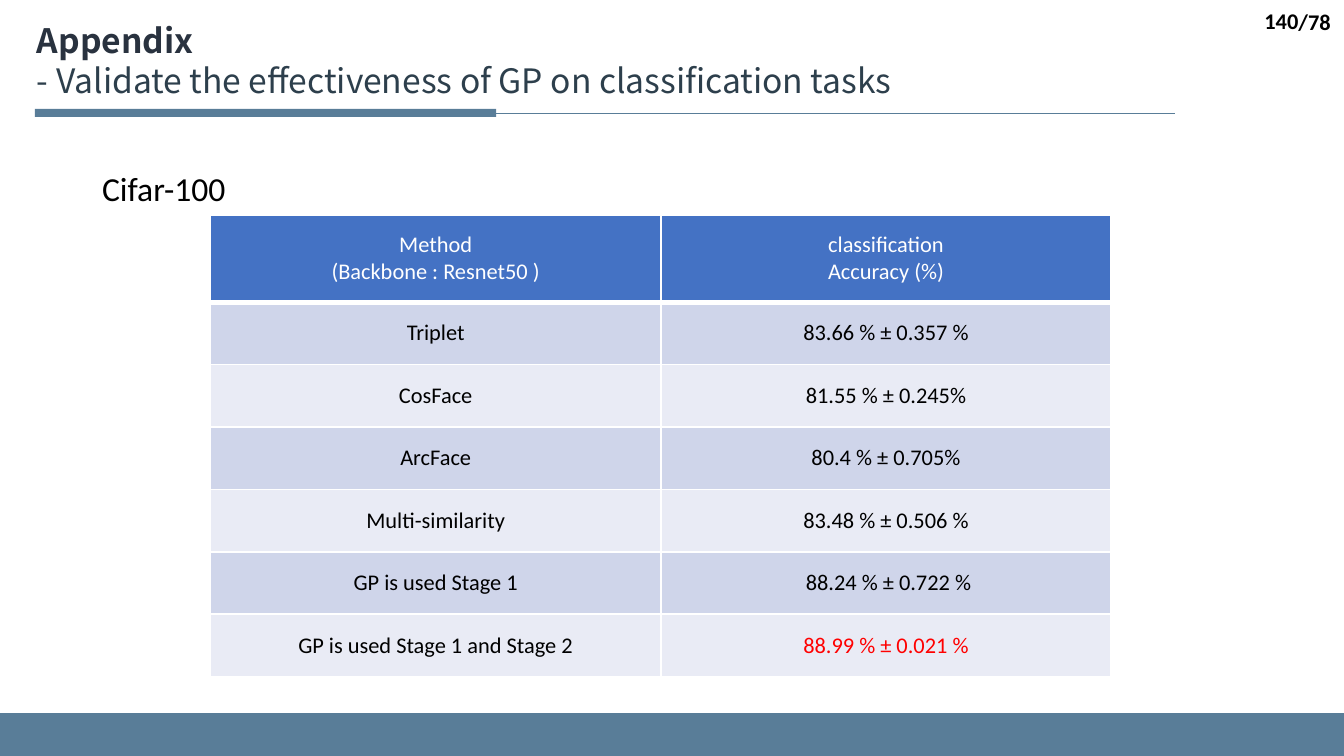
import pptx
import pptx.dml.color
import pptx.enum.shapes
import pptx.enum.text
import pptx.oxml
import pptx.oxml.ns
import pptx.util
from dataclasses import dataclass

Cm = pptx.util.Cm
Pt = pptx.util.Pt
ALIGN = pptx.enum.text.PP_ALIGN
ANCHOR = pptx.enum.text.MSO_ANCHOR


@dataclass(frozen=True)
class Theme:
    body_font: str = "Calibri"
    title_font: str = "Noto Sans CJK SC"
    large: int = 18
    small: int = 12
    title_spacing: float = 21.5
    accent: str = "597D98"
    title: str = "29323F"
    subtitle: str = "2D3F4C"
    text: str = "000000"
    white: str = "FFFFFF"
    highlight: str = "FF0000"
    header: str = "4472C4"
    bands: tuple = ("CFD5EA", "E9EBF5")


def rgb(value):
    return pptx.dml.color.RGBColor.from_string(value)


class SlideBuilder:
    def __init__(self, slide, theme):
        self.slide = slide
        self.theme = theme

    def bar(self, left, top, width, height):
        bar = self.slide.shapes.add_shape(
            pptx.enum.shapes.MSO_SHAPE.RECTANGLE, Cm(left), Cm(top), Cm(width), Cm(height))
        bar.shadow.inherit = False
        bar.fill.solid()
        bar.fill.fore_color.rgb = rgb(self.theme.accent)
        bar.line.fill.background()

    def rule(self, left, right, y):
        rule = self.slide.shapes.add_connector(
            pptx.enum.shapes.MSO_CONNECTOR.STRAIGHT, Cm(left), Cm(y), Cm(right), Cm(y))
        rule.line.color.rgb = rgb(self.theme.accent)
        rule.line.width = Pt(0.5)
        rule._element.spPr.append(
            pptx.oxml.parse_xml(f"<a:effectLst {pptx.oxml.ns.nsdecls('a')}/>"))

    def run(self, paragraph, text, size, color, bold=False, font=None):
        run = paragraph.add_run()
        run.text = text
        run.font.name = font or self.theme.body_font
        run.font.size = Pt(size)
        run.font.bold = bold
        run.font.color.rgb = rgb(color)

    def lines(self, frame, lines, size, align=ALIGN.LEFT, font=None, spacing=None):
        """Write (text, color, bold) lines, one paragraph each."""
        for index, (text, color, bold) in enumerate(lines):
            paragraph = frame.add_paragraph() if index else frame.paragraphs[0]
            paragraph.alignment = align
            if spacing:
                paragraph.line_spacing = Pt(spacing)
            self.run(paragraph, text, size, color, bold, font)

    def text(self, box, lines, size, anchor=ANCHOR.TOP, wrap=True, **style):
        frame = self.slide.shapes.add_textbox(*map(Cm, box)).text_frame
        frame.word_wrap = wrap
        frame.vertical_anchor = anchor
        self.lines(frame, lines, size, **style)

    def borders(self, cell, bottom):
        properties = cell._tc.get_or_add_tcPr()
        for side, width in (("L", 1), ("R", 1), ("T", 1), ("B", bottom)):
            properties.append(pptx.oxml.parse_xml(
                f'<a:ln{side} {pptx.oxml.ns.nsdecls("a")} w="{Pt(width)}"><a:solidFill>'
                f'<a:srgbClr val="{self.theme.white}"/></a:solidFill></a:ln{side}>'))

    def table(self, left, top, column_width, header_height, row_height, header, rows, best):
        theme = self.theme
        grid = [header, *rows]
        heights = [header_height] + [row_height] * len(rows)
        table = self.slide.shapes.add_table(
            len(grid), len(header), Cm(left), Cm(top),
            Cm(column_width * len(header)), Cm(sum(heights))).table
        table.first_row = table.horz_banding = False
        for column in table.columns:
            column.width = Cm(column_width)
        for r, values in enumerate(grid):
            table.rows[r].height = Cm(heights[r])
            for c, value in enumerate(values):
                cell = table.cell(r, c)
                cell.vertical_anchor = ANCHOR.MIDDLE
                self.borders(cell, 1 if r else 3)
                cell.fill.solid()
                cell.fill.fore_color.rgb = rgb(theme.bands[(r - 1) % 2] if r else theme.header)
                color = theme.text if r else theme.white
                if value == best:
                    color = theme.highlight
                self.lines(cell.text_frame, [(line, color, False) for line in value.split("\n")],
                           theme.small, ALIGN.CENTER)


def main():
    deck = pptx.Presentation()
    deck.slide_width, deck.slide_height = Cm(25.4), Cm(14.29)
    theme = Theme()
    page = SlideBuilder(deck.slides.add_slide(deck.slide_layouts[6]), theme)

    # Footer band and title underline
    page.bar(0, 13.48, 25.4, 0.81)
    page.rule(0.68, 22.2, 2.14)
    page.bar(0.66, 2.06, 8.72, 0.15)

    # Dataset and results
    page.text((1.68, 3.05, 4.6, 1.02), [("Cifar-100", theme.text, False)], theme.large)
    results = [
        ("Triplet", "83.66 % ± 0.357 %"),
        ("CosFace", "81.55 % ± 0.245%"),
        ("ArcFace", "80.4 % ± 0.705%"),
        ("Multi-similarity", "83.48 % ± 0.506 %"),
        ("GP is used Stage 1", " 88.24 % ± 0.722 %"),
        ("GP is used Stage 1 and Stage 2", "88.99 % ± 0.021 %"),
    ]
    page.table(3.98, 4.07, 8.51, 1.64, 1.18,
               ("Method\n(Backbone : Resnet50 )", "classification\nAccuracy (%)"),
               results, best=results[-1][1])

    # Title
    page.text((0.45, 0.25, 17.65, 1.8),
              [("Appendix", theme.title, True),
               ("- Validate the effectiveness of GP on classification tasks", theme.subtitle, False)],
              theme.large, wrap=False, font=theme.title_font, spacing=theme.title_spacing)

    # Page number
    for box, number in (((24.23, 0.03, 1.17, 0.76), "/78"), ((19.69, 0, 5.1, 0.79), "140")):
        page.text(box, [(number, theme.text, True)], theme.small,
                  anchor=ANCHOR.MIDDLE, align=ALIGN.RIGHT)

    deck.save("out.pptx")


if __name__ == "__main__":
    main()
